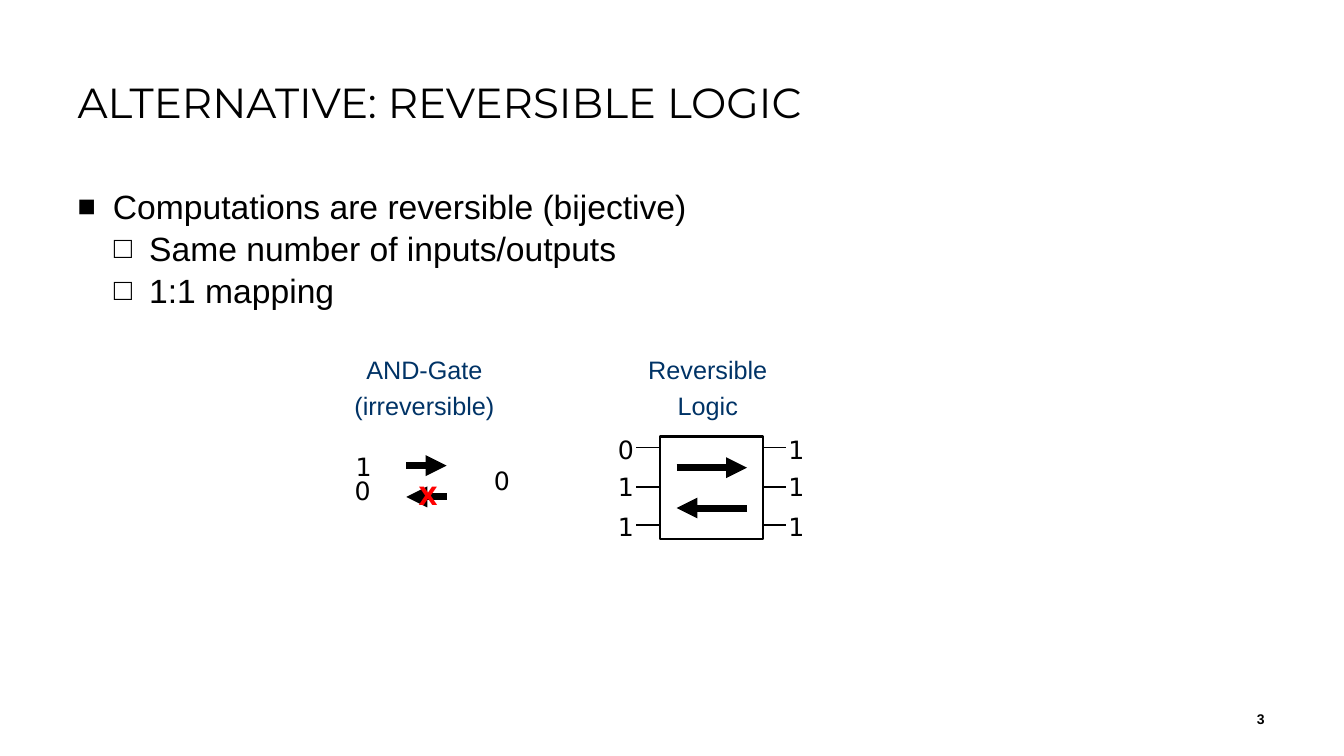
"""Build the slide that compares an irreversible AND gate with reversible logic."""
import lxml.etree
import pptx
import pptx.dml.color
import pptx.enum.shapes
import pptx.enum.text
import pptx.oxml.ns
import pptx.util

PX = 9144
THEME = {
    "ink": pptx.dml.color.RGBColor(0x00, 0x00, 0x00),
    "caption": pptx.dml.color.RGBColor(0x00, 0x33, 0x66),
    "error": pptx.dml.color.RGBColor(0xFF, 0x00, 0x00),
    "title_font": "Montserrat", "text_font": "Arial", "bit_font": "DejaVu Sans",
    "title_size": 30, "body_size": 24, "label_size": 18, "number_size": 10,
    "arrow_width": 5, "box_width": 1.5, "pin_width": 1.25,
}
ALIGN = pptx.enum.text.PP_ALIGN
ANCHOR = pptx.enum.text.MSO_ANCHOR
qn = pptx.oxml.ns.qn


def style_runs(text_frame, font, size, color="ink", bold=False):
    """Format every run of a text frame."""
    for paragraph in text_frame.paragraphs:
        for run in paragraph.runs:
            run.font.name = THEME[font]
            run.font.size = pptx.util.Pt(THEME[size])
            run.font.color.rgb = THEME[color]
            run.font.bold = bold


def add_line(x1, y1, x2, y2, width, arrow=False):
    """Draw a straight line, with an arrowhead at its end if wanted."""
    line = slide.shapes.add_connector(
        pptx.enum.shapes.MSO_CONNECTOR.STRAIGHT, x1 * PX, y1 * PX, x2 * PX, y2 * PX)
    line.line.color.rgb = THEME["ink"]
    line.line.width = pptx.util.Pt(THEME[width])
    if arrow:
        lxml.etree.SubElement(line.line._get_or_add_ln(), qn("a:tailEnd"), type="triangle")
    lxml.etree.SubElement(line._element.spPr, qn("a:effectLst"))


presentation = pptx.Presentation()
presentation.slide_width = 1333 * PX
presentation.slide_height = 750 * PX
slide = presentation.slides.add_slide(presentation.slide_layouts[1])

title = slide.shapes.title
title.left, title.top, title.width, title.height = 67 * PX, 79 * PX, 1187 * PX, 96 * PX
title.text_frame.text = "ALTERNATIVE: REVERSIBLE LOGIC"
title.text_frame.vertical_anchor = ANCHOR.TOP
title.text_frame.auto_size = pptx.enum.text.MSO_AUTO_SIZE.NONE
title.text_frame.paragraphs[0].alignment = ALIGN.LEFT
title.text_frame.paragraphs[0].line_spacing = 0.83
style_runs(title.text_frame, "title_font", "title_size")

properties = slide.placeholders[1]
properties.left, properties.top = 67 * PX, 177 * PX
properties.width, properties.height = 1187 * PX, 494 * PX
properties.text_frame.text = (
    "Computations are reversible (bijective)\nSame number of inputs/outputs\n1:1 mapping")
properties.text_frame.auto_size = pptx.enum.text.MSO_AUTO_SIZE.NONE
for paragraph, level in zip(properties.text_frame.paragraphs, (0, 1, 1)):
    paragraph.level = level
    paragraph_format = paragraph._p.get_or_add_pPr()
    paragraph_format.set("marL", str((35 + 36 * level) * PX))
    paragraph_format.set("indent", str(-35 * PX))
    lxml.etree.SubElement(paragraph_format, qn("a:buSzPct"), val="90000")
    lxml.etree.SubElement(paragraph_format, qn("a:buFont"), typeface=THEME["text_font"])
    lxml.etree.SubElement(paragraph_format, qn("a:buChar"), char="■□"[level])
    paragraph.line_spacing = 1.05
    paragraph.space_before = pptx.util.Pt(0)
style_runs(properties.text_frame, "text_font", "body_size")

for left, caption_text in ((296, "AND-Gate\n(irreversible)"), (577, "Reversible\nLogic")):
    caption = slide.shapes.add_textbox(left * PX, 347 * PX, 250 * PX, 78 * PX).text_frame
    caption.word_wrap = True
    caption.text = caption_text
    for paragraph in caption.paragraphs:
        paragraph.alignment = ALIGN.CENTER
    caption.paragraphs[1].space_before = pptx.util.Pt(4)
    style_runs(caption, "text_font", "label_size", "caption")

logic_box = slide.shapes.add_shape(
    pptx.enum.shapes.MSO_SHAPE.RECTANGLE, 655 * PX, 433 * PX, 102 * PX, 102 * PX)
logic_box.shadow.inherit = False
logic_box.fill.background()
logic_box.line.color.rgb = THEME["ink"]
logic_box.line.width = pptx.util.Pt(THEME["box_width"])

bits = [("1", 343, 443), ("0", 342, 467), ("0", 480, 457)]
for bit_top, pin_y, input_bit in ((426, 444, "0"), (463, 483, "1"), (502, 521, "1")):
    bits += [(input_bit, 603, bit_top), ("1", 772, bit_top)]
    for pin_left, pin_right in ((631, 655), (757, 780)):
        add_line(pin_left, pin_y, pin_right, pin_y, "pin_width")

for arrow_left, arrow_right, forward_y, backward_y in ((403, 443, 462, 493), (671, 741, 464, 504)):
    add_line(arrow_left, forward_y, arrow_right, forward_y, "arrow_width", arrow=True)
    add_line(arrow_right, backward_y, arrow_left, backward_y, "arrow_width", arrow=True)

for symbol, left, top in bits + [("X", 405, 472)]:
    blocked = symbol == "X"
    label = slide.shapes.add_textbox(
        left * PX, top * PX, (39 if blocked else 36) * PX, 40 * PX).text_frame
    label.word_wrap = False
    label.text = symbol
    style_runs(label, "bit_font", "label_size", "error" if blocked else "ink", blocked)

page_number = slide.shapes.add_textbox(1189 * PX, 693 * PX, 75 * PX, 40 * PX).text_frame
page_number.word_wrap = True
page_number.vertical_anchor = ANCHOR.MIDDLE
page_number.text = "3"
page_number.paragraphs[0].alignment = ALIGN.RIGHT
style_runs(page_number, "text_font", "number_size", bold=True)

presentation.save("out.pptx")
